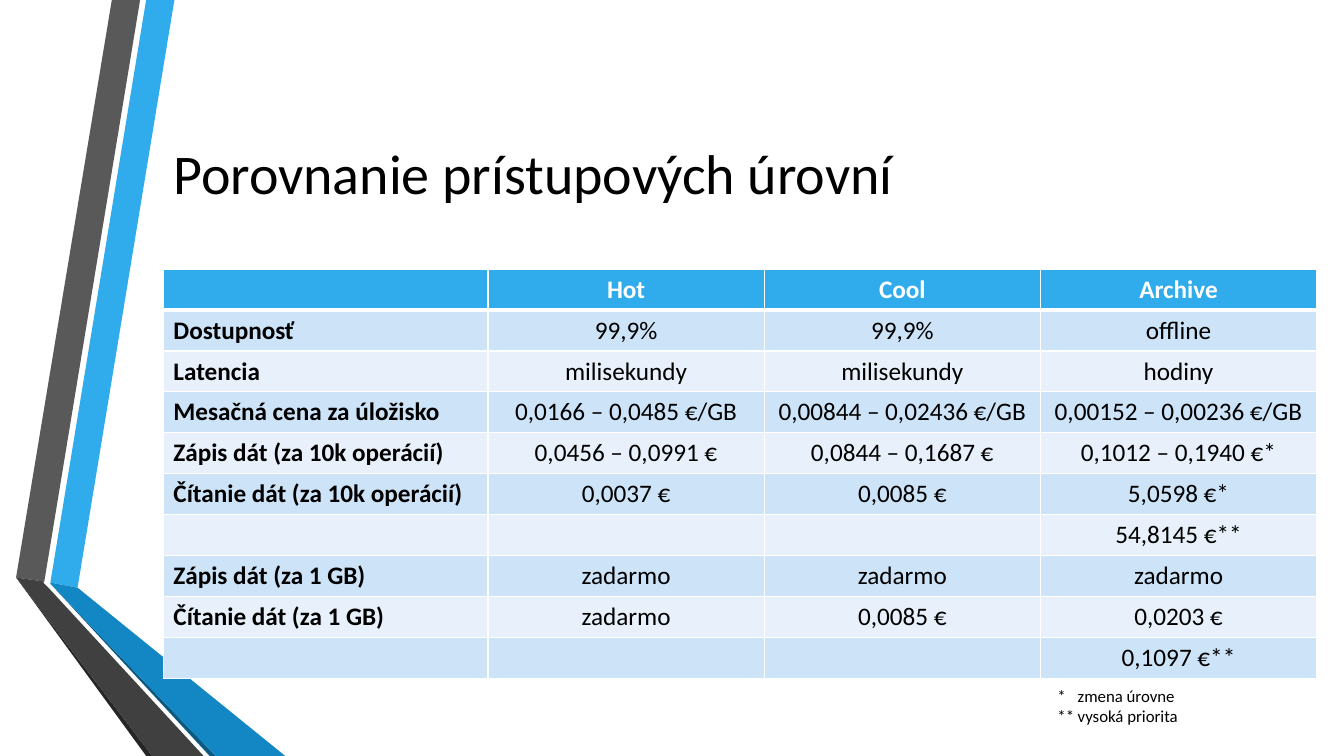
import pptx
import pptx.util
import pptx.dml.color
import pptx.enum.text
import pptx.oxml.ns
from lxml import etree

Inches, Pt = pptx.util.Inches, pptx.util.Pt
RGBColor = pptx.dml.color.RGBColor
PP_ALIGN = pptx.enum.text.PP_ALIGN
MSO_ANCHOR = pptx.enum.text.MSO_ANCHOR
qn = pptx.oxml.ns.qn

# Colours and font
FONT = "Calibri"
BLACK = RGBColor(0x00, 0x00, 0x00)
WHITE = RGBColor(0xFF, 0xFF, 0xFF)
BLUE = RGBColor(0x30, 0xAC, 0xEC)
MID_BLUE = RGBColor(0x12, 0x87, 0xC3)
DARK_BLUE = RGBColor(0x0C, 0x5A, 0x82)
GREY = RGBColor(0x59, 0x59, 0x59)
DARK_GREY = RGBColor(0x40, 0x40, 0x40)
DEEP_GREY = RGBColor(0x26, 0x26, 0x26)
BAND_DARK = RGBColor(0xCD, 0xE3, 0xF8)
BAND_LIGHT = RGBColor(0xE8, 0xF1, 0xFB)

# Content
TITLE = "Porovnanie prístupových úrovní"
ROWS = [
    ("", "Hot", "Cool", "Archive"),
    ("Dostupnosť", "99,9%", "99,9%", "offline"),
    ("Latencia", "milisekundy", "milisekundy", "hodiny"),
    ("Mesačná cena za úložisko", "0,0166 – 0,0485 €/GB",
     "0,00844 – 0,02436 €/GB", "0,00152 – 0,00236 €/GB"),
    ("Zápis dát (za 10k operácií)", "0,0456 – 0,0991 €",
     "0,0844 – 0,1687 €", "0,1012 – 0,1940 €*"),
    ("Čítanie dát (za 10k operácií)", "0,0037 €", "0,0085 €", "5,0598 €*"),
    ("", "", "", "54,8145 €**"),
    ("Zápis dát (za 1 GB)", "zadarmo", "zadarmo", "zadarmo"),
    ("Čítanie dát (za 1 GB)", "zadarmo", "0,0085 €", "0,0203 €"),
    ("", "", "", "0,1097 €**"),
]
FOOTNOTES = ["*\tzmena úrovne", "**\tvysoká priorita"]

# Ribbon facets, back to front
RIBBONS = [
    (BLUE, [(0.5, 5.78), (0.77, 5.83), (1.73, 0), (1.45, 0)]),
    (GREY, [(1.39, 0), (1.11, 0), (0.16, 5.73), (0.44, 5.77)]),
    (DEEP_GREY, [(0.16, 5.73), (1.45, 7.5), (1.51, 7.5)]),
    (DARK_BLUE, [(0.5, 5.79), (2.08, 7.5), (2.14, 7.5)]),
    (MID_BLUE, [(0.5, 5.78), (0.5, 5.79), (2.14, 7.5), (2.83, 7.5), (0.77, 5.83)]),
    (DARK_GREY, [(0.16, 5.73), (1.51, 7.5), (2.02, 7.5), (0.48, 5.83),
                 (0.43, 5.78), (0.44, 5.77)]),
]

# Table layout
TABLE_LEFT, TABLE_TOP, TABLE_HEIGHT = 1.62, 2.67, 4.06
COLUMN_WIDTHS = [3.22, 2.74, 2.74, 2.74]


def format_runs(paragraph, size, color=BLACK, bold=False):
    for run in paragraph.runs:
        run.font.name = FONT
        run.font.size = Pt(size)
        run.font.bold = bold
        run.font.color.rgb = color


def add_text(slide, left, top, width, height, lines, size, anchor):
    shape = slide.shapes.add_textbox(Inches(left), Inches(top), Inches(width), Inches(height))
    frame = shape.text_frame
    frame.word_wrap = True
    frame.vertical_anchor = anchor
    frame.text = "\n".join(lines)
    for paragraph in frame.paragraphs:
        format_runs(paragraph, size)
    return frame


def add_ribbon(slide, color, points):
    corners = [(Inches(x), Inches(y)) for x, y in points]
    builder = slide.shapes.build_freeform(*corners[0])
    builder.add_line_segments(corners[1:], close=True)
    shape = builder.convert_to_shape()
    shape.shadow.inherit = False
    shape.fill.solid()
    shape.fill.fore_color.rgb = color
    shape.line.fill.background()


def set_borders(cell, widths):
    properties = cell._tc.get_or_add_tcPr()
    for position, (side, width) in enumerate(widths.items()):
        line = etree.Element(qn(f"a:{side}"), w=str(Pt(width)))
        fill = etree.SubElement(line, qn("a:solidFill"))
        etree.SubElement(fill, qn("a:srgbClr"), val=str(WHITE))
        properties.insert(position, line)


def add_table(slide):
    frame = slide.shapes.add_table(
        len(ROWS), len(COLUMN_WIDTHS), Inches(TABLE_LEFT), Inches(TABLE_TOP),
        Inches(sum(COLUMN_WIDTHS)), Inches(TABLE_HEIGHT))
    table = frame.table
    for column, width in zip(table.columns, COLUMN_WIDTHS):
        column.width = Inches(width)
    for row_index, values in enumerate(ROWS):
        is_header = row_index == 0
        band = BLUE if is_header else (BAND_LIGHT, BAND_DARK)[row_index % 2]
        for column_index, value in enumerate(values):
            cell = table.cell(row_index, column_index)
            cell.fill.solid()
            cell.fill.fore_color.rgb = band
            set_borders(cell, {"lnL": 1, "lnR": 1,
                               "lnT": 3 if row_index == 1 else 1,
                               "lnB": 3 if is_header else 1})
            cell.text_frame.text = value
            paragraph = cell.text_frame.paragraphs[0]
            paragraph.alignment = PP_ALIGN.CENTER if column_index else PP_ALIGN.LEFT
            format_runs(paragraph, 18, WHITE if is_header else BLACK,
                        is_header or column_index == 0)


def main():
    presentation = pptx.Presentation()
    presentation.slide_width = Inches(13.33)
    presentation.slide_height = Inches(7.5)
    slide = presentation.slides.add_slide(presentation.slide_layouts[6])

    # Ribbon on the left
    for color, points in RIBBONS:
        add_ribbon(slide, color, points)

    # Title and comparison table
    add_text(slide, 1.62, 0.75, 10.96, 1.92, [TITLE], 40, MSO_ANCHOR.MIDDLE)
    add_table(slide)

    # Footnotes with a hanging indent after the asterisks
    notes = add_text(slide, 10.39, 6.75, 1.6, 0.5, FOOTNOTES, 12, MSO_ANCHOR.TOP)
    for paragraph in notes.paragraphs:
        properties = paragraph._p.get_or_add_pPr()
        properties.set("marL", str(Inches(0.2)))
        properties.set("indent", str(-Inches(0.2)))

    presentation.save("out.pptx")


if __name__ == "__main__":
    main()
